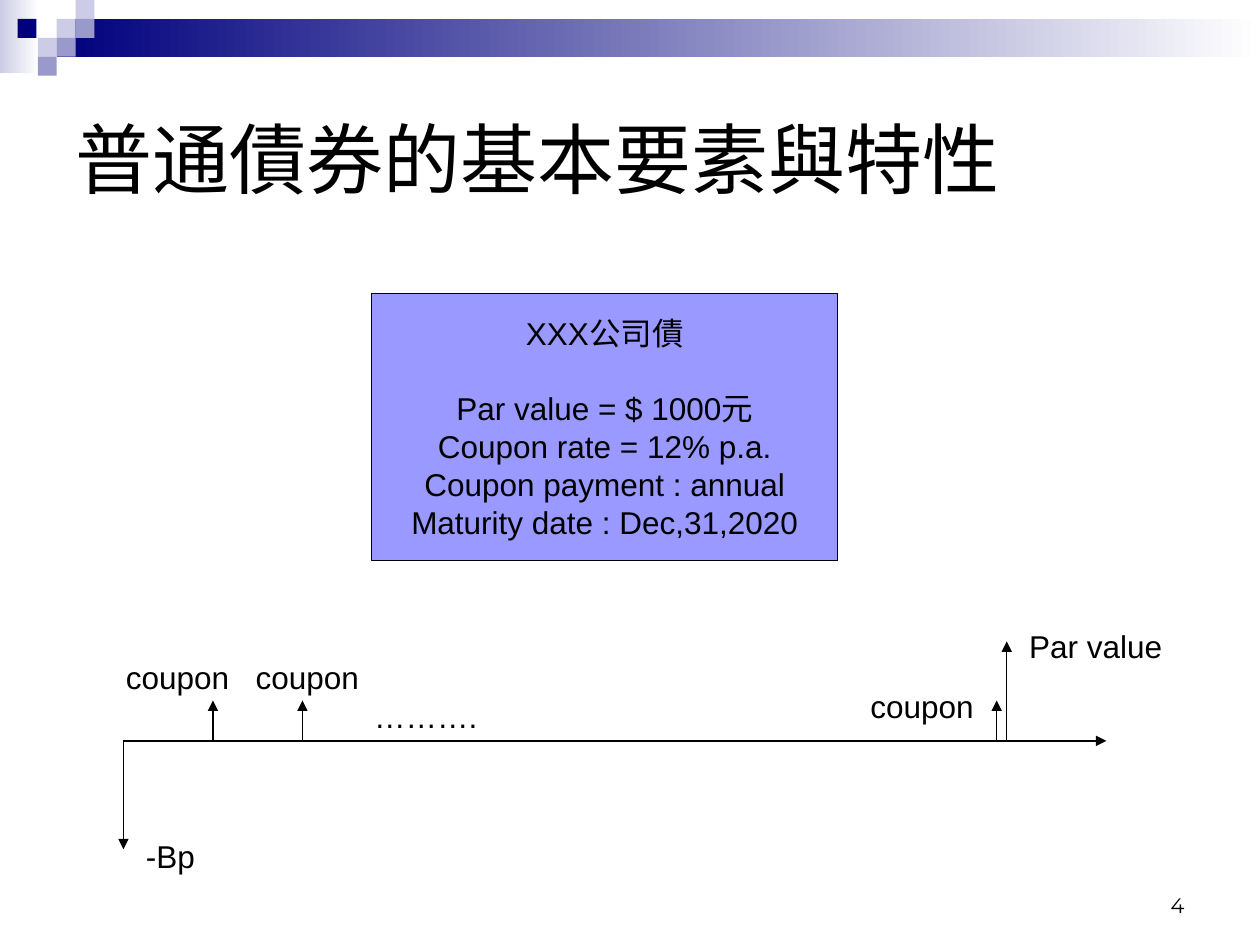
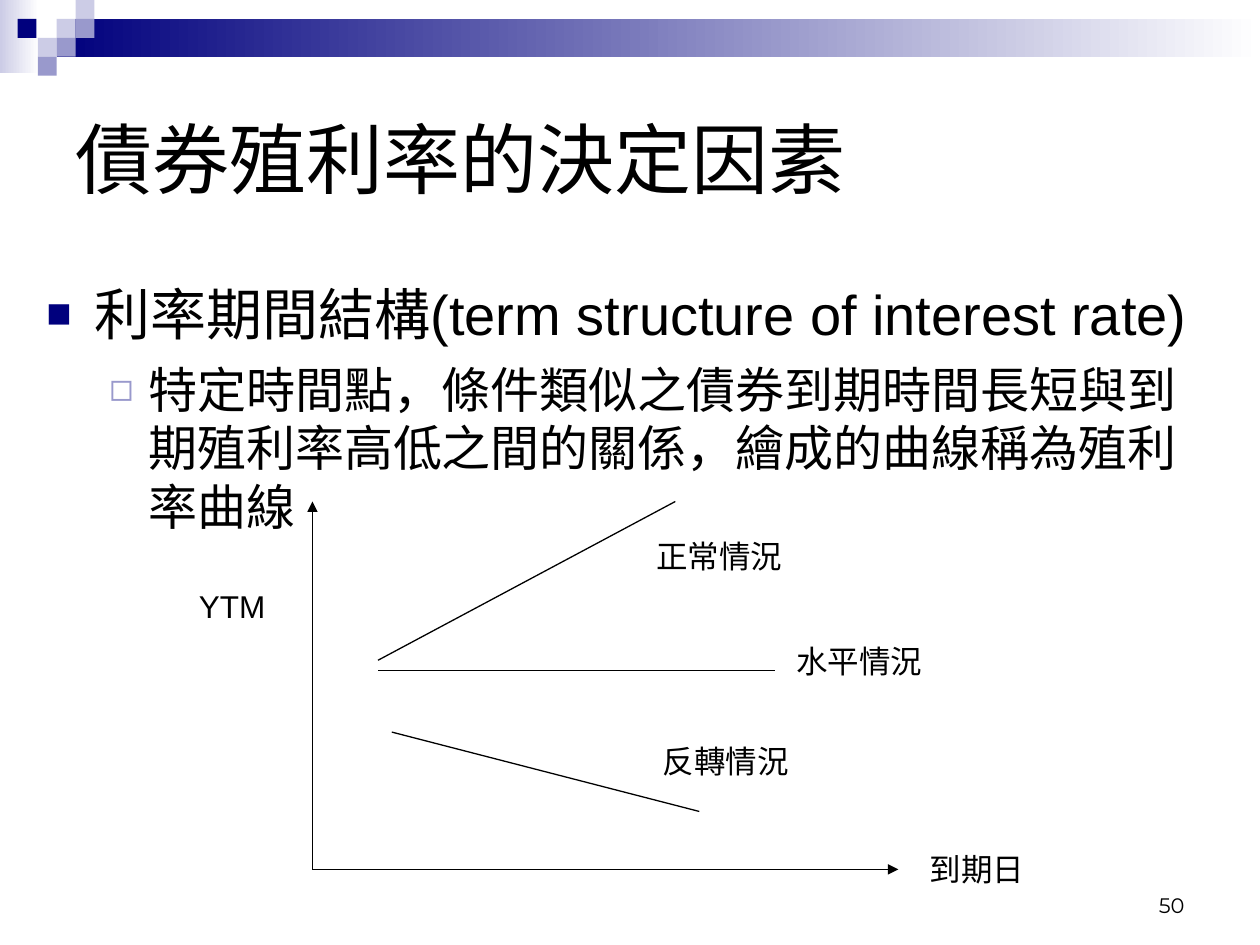
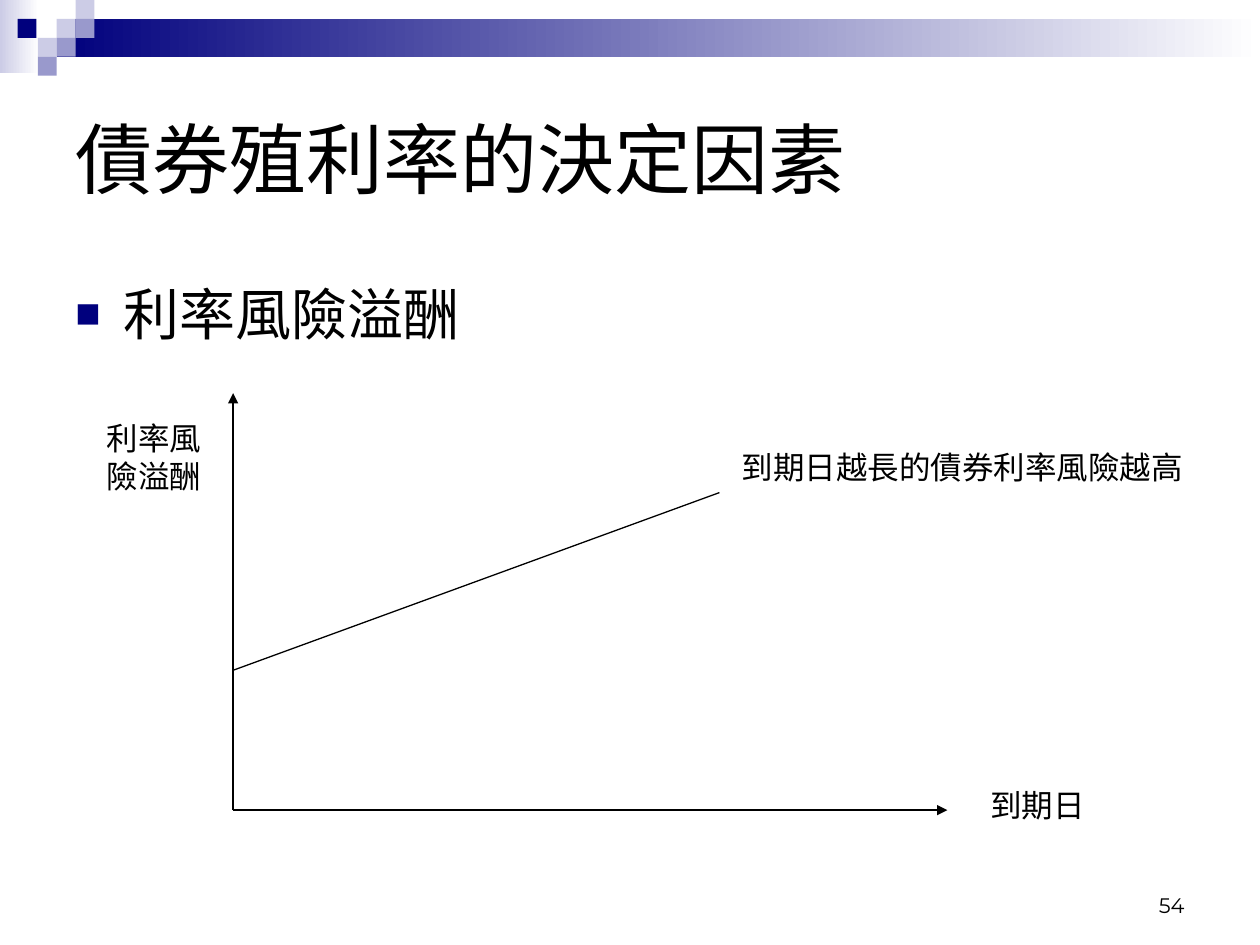
import pptx
import pptx.util
import pptx.dml.color
import pptx.enum.shapes
import pptx.enum.text
import pptx.oxml.ns
from lxml import etree

Pt = pptx.util.Pt
Inches = pptx.util.Inches
ALIGN = pptx.enum.text.PP_ALIGN
ANCHOR = pptx.enum.text.MSO_ANCHOR
RECT = pptx.enum.shapes.MSO_SHAPE.RECTANGLE
LINE = pptx.enum.shapes.MSO_CONNECTOR.STRAIGHT
qn = pptx.oxml.ns.qn

HUES = {"ink": "000000", "paper": "FFFFFF", "navy": "00007D",
        "mist": "CCCCE6", "haze": "9999CC", "card": "9999FF"}
FONT, ASIAN, DIGIT = "Arial", "Noto Sans CJK TC", "Montserrat"
LEAD = 1.2  # line pitch as a share of the text size
WIDE, HIGH = Inches(10), Inches(7.5)

# Indent, hanging, space before, mark, mark hue, mark size, text size
LEVELS = [(0.38, 0.38, 8, "■", "navy", 75, 32),
          (0.81, 0.31, 7, "◻", "haze", 80, 28)]


# Units: all places are percent shares of the slide's width and height
def across(share):
    return int(WIDE * share / 100)


def down(share):
    return int(HIGH * share / 100)


def place(box):
    left, top, width, height = box
    return across(left), down(top), across(width), down(height)


def hue(name):
    return pptx.dml.color.RGBColor.from_string(HUES[name])


# Text
def style(para, size, font=FONT, align=ALIGN.LEFT):
    para.alignment = align
    para.line_spacing = Pt(size * LEAD)
    for run in para.runs:
        run.font.size = Pt(size)
        run.font.name = font
        run.font.color.rgb = hue("ink")
        latin = run.font._element.find(qn("a:latin"))
        latin.addnext(latin.makeelement(qn("a:ea"), {"typeface": ASIAN}))


def label(slide, text, box, size=18, font=FONT, align=ALIGN.LEFT,
          anchor=ANCHOR.TOP):
    frame = slide.shapes.add_textbox(*place(box)).text_frame
    frame.word_wrap = True
    frame.vertical_anchor = anchor
    frame.text = text
    style(frame.paragraphs[0], size, font, align)


def mark(para, level):
    indent, hang, gap, sign, tone, scale, size = LEVELS[level]
    style(para, size)
    para.space_before = Pt(gap)
    props = para._p.get_or_add_pPr()
    props.set("marL", str(Inches(indent)))
    props.set("indent", str(-Inches(hang)))
    tint = etree.SubElement(props, qn("a:buClr"))
    etree.SubElement(tint, qn("a:srgbClr"), val=HUES[tone])
    etree.SubElement(props, qn("a:buSzPct"), val=str(scale * 1000))
    etree.SubElement(props, qn("a:buFont"), typeface=FONT)
    etree.SubElement(props, qn("a:buChar"), char=sign)


def points(slide, lines, box):
    frame = slide.shapes.add_textbox(*place(box)).text_frame
    frame.word_wrap = True
    frame.text = "\n".join(lines)
    for level, para in enumerate(frame.paragraphs):
        mark(para, level)


# Shapes and lines
def block(slide, box, tone, fade=None):
    shape = slide.shapes.add_shape(RECT, *place(box))
    shape.shadow.inherit = False
    shape.line.fill.background()
    if fade:
        shape.fill.gradient()
        shape.fill.gradient_angle = 0
        for stop, name in zip(shape.fill.gradient_stops, (tone, fade)):
            stop.color.rgb = hue(name)
    else:
        shape.fill.solid()
        shape.fill.fore_color.rgb = hue(tone)
    return shape


def stroke(slide, start, end, arrow=False):
    line = slide.shapes.add_connector(
        LINE, across(start[0]), down(start[1]), across(end[0]), down(end[1]))
    line.line.color.rgb = hue("ink")
    line.line.width = Pt(0.75)
    if arrow:
        etree.SubElement(line.line._get_or_add_ln(), qn("a:tailEnd"),
                         type="triangle")
    etree.SubElement(line._element.spPr, qn("a:effectLst"))


def axes(slide, origin, top, right):
    stroke(slide, origin, (origin[0], top), True)
    stroke(slide, origin, (right, origin[1]), True)


def card(slide, lines, box):
    shape = block(slide, box, "card")
    shape.line.color.rgb = hue("ink")
    shape.line.width = Pt(0.75)
    frame = shape.text_frame
    frame.word_wrap = False
    frame.vertical_anchor = ANCHOR.MIDDLE
    frame.text = "\n".join(lines)
    for para in frame.paragraphs:
        style(para, 18, align=ALIGN.CENTER)
    frame.paragraphs[1].space_before = Pt(18 * LEAD)


# Shared parts
def band(slide, layout):
    """Draw the top band and hand it to the layout all slides share."""
    for holder in list(layout.placeholders)[1:]:
        layout.shapes.element.remove(holder.element)
    wide, high = 1.5, 2  # one cell of the mosaic
    parts = [block(slide, (0, 0, 3.1, 7.75), "mist", "paper"),
             block(slide, (4.5, high, 95.5, 2 * high), "navy", "paper")]
    cells = [(3, 1, "mist"), (4, 0, "mist"), (4, 1, "haze"), (2, 2, "mist"),
             (0.93, 1, "navy"), (3, 2, "haze"), (2, 3, "haze")]
    for col, row, tone in cells:
        box = (col * wide, row * high, wide, high)
        parts.append(block(slide, box, tone))
    for part in parts:
        layout.shapes.element.append(part.element)


def page(deck, layout, title, number):
    slide = deck.slides.add_slide(layout)
    head = slide.shapes.title
    head.left, head.top, head.width, head.height = place((5, 6.67, 90, 20))
    head.text_frame.text = title
    head.text_frame.vertical_anchor = ANCHOR.MIDDLE
    style(head.text_frame.paragraphs[0], 44)
    label(slide, number, (71.7, 91.07, 23.3, 6.67), 12, DIGIT,
          ALIGN.RIGHT, ANCHOR.BOTTOM)
    return slide


# Slides
def bond(slide):
    card(slide, ["XXX公司債", "Par value = $ 1000元",
                 "Coupon rate = 12% p.a.", "Coupon payment : annual",
                 "Maturity date : Dec,31,2020"], (29.5, 31.07, 37, 28.27))
    base = 78.4
    axes(slide, (9.8, base), 89.87, 87.8)
    for spot, tip in [(16.9, 74.13), (24, 74.13), (79.1, 74.13),
                      (79.9, 67.87)]:
        stroke(slide, (spot, base), (spot, tip), True)
    for text, left, top, width in [
            ("-Bp", 10.6, 87.87, 6.3), ("……….", 28.7, 73.07, 22.8),
            ("coupon", 9, 68.93, 10.2), ("coupon", 19.3, 68.93, 10.2),
            ("coupon", 68.1, 72, 10.2), ("Par value", 80.7, 65.73, 12.6)]:
        label(slide, text, (left, top, width, 5.33))


def term(slide):
    points(slide, ["利率期間結構(term structure of interest rate)",
                   "特定時間點，條件類似之債券到期時間長短與到期殖利率高低之間的關係，"
                   "繪成的曲線稱為殖利率曲線"], (2.7, 28.93, 95.3, 65.2))
    axes(slide, (24.8, 92), 53.07, 71.3)
    for start, end in [((30, 69.87), (53.6, 53.07)),
                       ((30, 70.93), (61.5, 70.93)),
                       ((31.1, 77.47), (55.5, 85.87))]:
        stroke(slide, start, end)
    for text, left, top, width in [
            ("到期日", 72.8, 89.33, 11), ("YTM", 14.8, 61.47, 8.7),
            ("正常情況", 51.1, 56.13, 15.7), ("反轉情況", 51.6, 77.87, 14.2),
            ("水平情況", 62.2, 67.33, 15.7)]:
        label(slide, text, (left, top, width, 5.33))


def risk(slide):
    points(slide, ["利率風險溢酬"], (5, 28.93, 90, 56.67))
    axes(slide, (18.5, 85.73), 41.6, 75.2)
    stroke(slide, (18.5, 70.93), (57.1, 52.13))
    label(slide, "到期日", (77.6, 82.53, 11, 5.33))
    label(slide, "利率風險溢酬", (7.5, 43.73, 11.8, 9.33))
    label(slide, "到期日越長的債券利率風險越高", (57.9, 46.8, 37.8, 5.33))


def main():
    deck = pptx.Presentation()
    deck.slide_width, deck.slide_height = WIDE, HIGH
    layout = deck.slide_layouts.get_by_name("Title Only")
    plan = [("普通債券的基本要素與特性", "4", bond),
            ("債券殖利率的決定因素", "50", term),
            ("債券殖利率的決定因素", "54", risk)]
    for title, number, draw in plan:
        draw(page(deck, layout, title, number))
    band(deck.slides[0], layout)
    deck.save("out.pptx")


if __name__ == "__main__":
    main()
